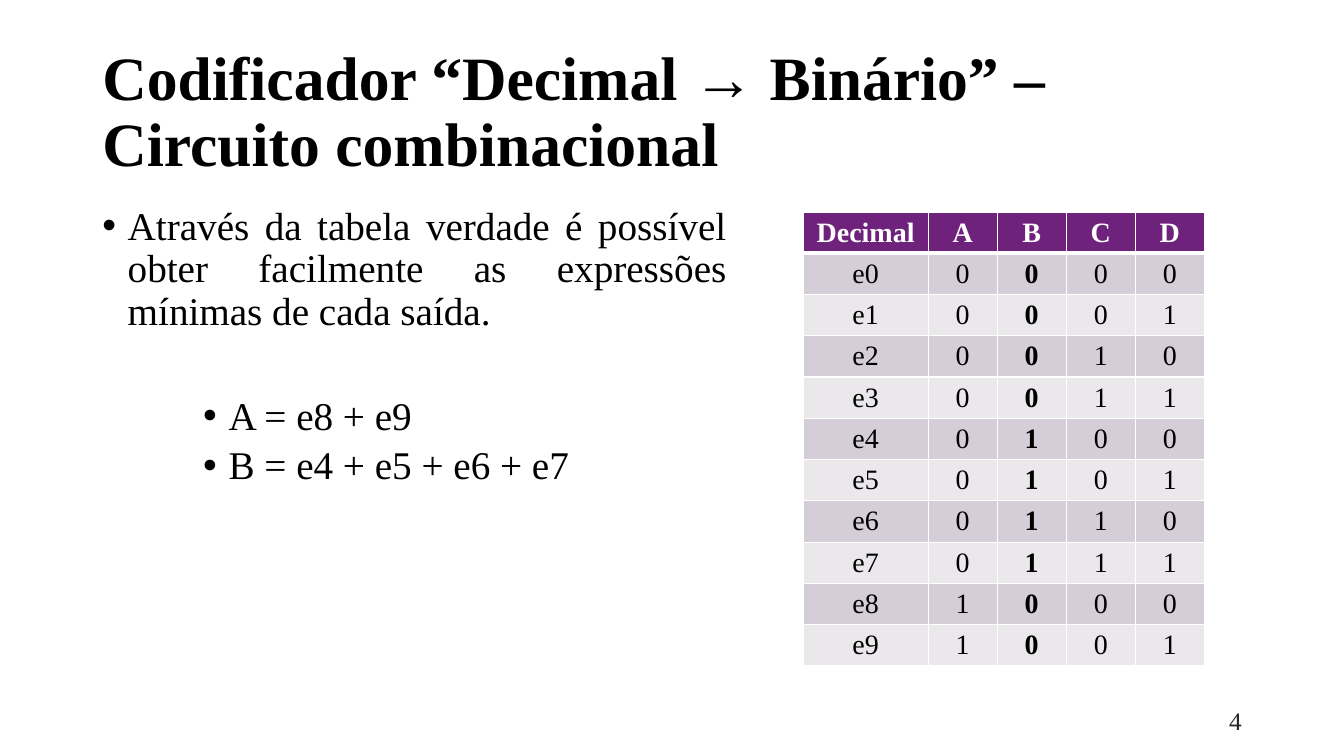
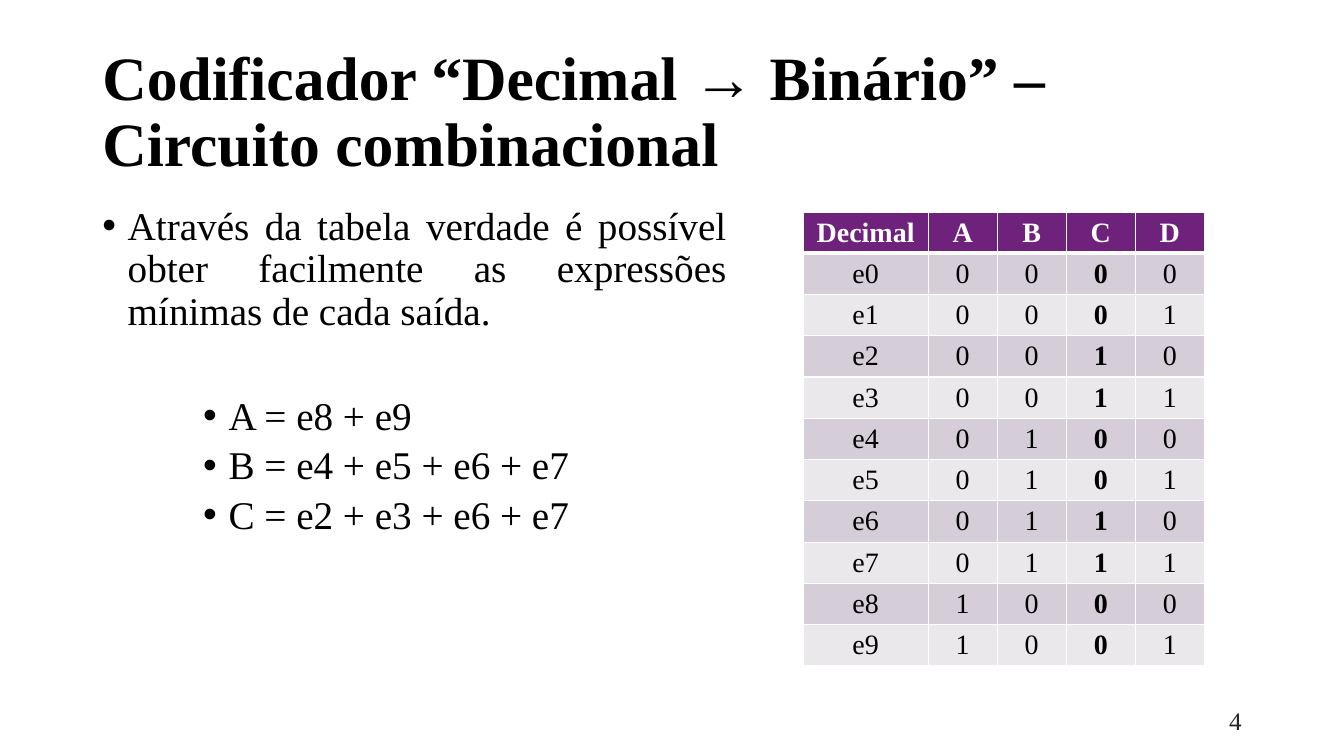
from dataclasses import dataclass

from lxml import etree
from pptx import Presentation
from pptx import util as u
from pptx.dml import color
from pptx.enum import text
from pptx.oxml import ns


@dataclass(frozen=True)
class Theme:
    font: str = "Times New Roman"
    ink: str = "000000"
    white: str = "FFFFFF"
    gray: str = "262626"
    head: str = "6F227C"
    bands: tuple = ("D5CDD7", "EBE8EC")
    title: int = 44
    body: int = 28
    cell: int = 20
    page: int = 18


T = Theme()
MID = text.MSO_ANCHOR.MIDDLE
AL = text.PP_ALIGN
NAMES = "ABCD"
TITLE = "Codificador “Decimal → Binário” – Circuito combinacional"
INTRO = ("Através da tabela verdade é possível obter facilmente "
         "as expressões mínimas de cada saída.")
TERMS = ["A = e8 + e9", "B = e4 + e5 + e6 + e7", "C = e2 + e3 + e6 + e7"]


def rgb(code):
    return color.RGBColor.from_string(code)


def write(para, words, size, ink=T.ink, bold=False, align=AL.LEFT,
          lead=1.0, above=0):
    para.alignment = align
    para.line_spacing = lead
    para.space_before = u.Pt(above)
    run = para.add_run()
    run.text = words
    font = run.font
    font.name, font.size, font.bold = T.font, u.Pt(size), bold
    font.color.rgb = rgb(ink)


def add_box(slide, left, top, width, height, anchor=text.MSO_ANCHOR.TOP):
    box = slide.shapes.add_textbox(u.Cm(left), u.Cm(top),
                                   u.Cm(width), u.Cm(height))
    frame = box.text_frame
    frame.word_wrap = True
    frame.vertical_anchor = anchor
    return frame


def add_dot(para, left):
    props = para._p.get_or_add_pPr()
    props.set("marL", str(u.Cm(left)))
    props.set("indent", str(-u.Cm(0.64)))
    etree.SubElement(props, ns.qn("a:buFont"), typeface="Arial")
    etree.SubElement(props, ns.qn("a:buChar"), char="•")


def add_list(slide, terms):
    frame = add_box(slide, 2.33, 5.08, 16.23, 12.09)
    form = dict(size=T.body, align=AL.JUSTIFY, lead=0.9)
    intro = frame.paragraphs[0]
    write(intro, INTRO, above=10, **form)
    add_dot(intro, 0.64)
    for i, term in enumerate(terms):
        para = frame.add_paragraph()
        para.level = 2
        write(para, term, above=5 if i else 45, **form)
        add_dot(para, 3.18)


def add_edges(cell, top, base):
    props = cell._tc.get_or_add_tcPr()
    sides = (("L", 1), ("R", 1), ("T", top), ("B", base))
    for i, (side, width) in enumerate(sides):
        line = etree.Element(ns.qn(f"a:ln{side}"), w=str(u.Pt(width)))
        fill = etree.SubElement(line, ns.qn("a:solidFill"))
        etree.SubElement(fill, ns.qn("a:srgbClr"), val=T.white)
        props.insert(i, line)


def add_cell(cell, words, row, bold):
    head = row == 0
    cell.fill.solid()
    cell.fill.fore_color.rgb = rgb(T.head if head else T.bands[(row - 1) % 2])
    cell.vertical_anchor = MID
    cell.margin_top = cell.margin_bottom = u.Cm(0.08)
    write(cell.text_frame.paragraphs[0], words, T.cell, bold=head or bold,
          ink=T.white if head else T.ink, align=AL.CENTER)
    add_edges(cell, top=3 if row == 1 else 1, base=3 if head else 1)


def add_truth(slide, key):
    rows = [["Decimal", *NAMES]]
    rows += [[f"e{n}", *format(n, "04b")] for n in range(10)]
    widths = [3.15] + [1.74] * len(NAMES)
    high = 1.04
    grid = slide.shapes.add_table(
        len(rows), len(widths), u.Cm(20.24), u.Cm(5.34),
        u.Cm(sum(widths)), u.Cm(high * len(rows))).table
    for col, width in zip(grid.columns, widths):
        col.width = u.Cm(width)
    for r, row in enumerate(rows):
        grid.rows[r].height = u.Cm(high)
        for c, words in enumerate(row):
            add_cell(grid.cell(r, c), words, r, rows[0][c] == key)


def add_slide(deck, key):
    slide = deck.slides.add_slide(deck.slide_layouts[6])
    title = add_box(slide, 2.33, 1.02, 29.21, 3.68, MID)
    write(title.paragraphs[0], TITLE, T.title, bold=True, lead=0.9)
    add_list(slide, TERMS[:NAMES.index(key) + 1])
    add_truth(slide, key)
    page = add_box(slide, 23.92, 17.65, 7.62, 1.02, MID)
    write(page.paragraphs[0], "4", T.page, ink=T.gray, align=AL.RIGHT)


def main():
    deck = Presentation()
    deck.slide_width, deck.slide_height = u.Cm(33.87), u.Cm(19.05)
    for key in "BC":
        add_slide(deck, key)
    deck.save("out.pptx")


if __name__ == "__main__":
    main()
